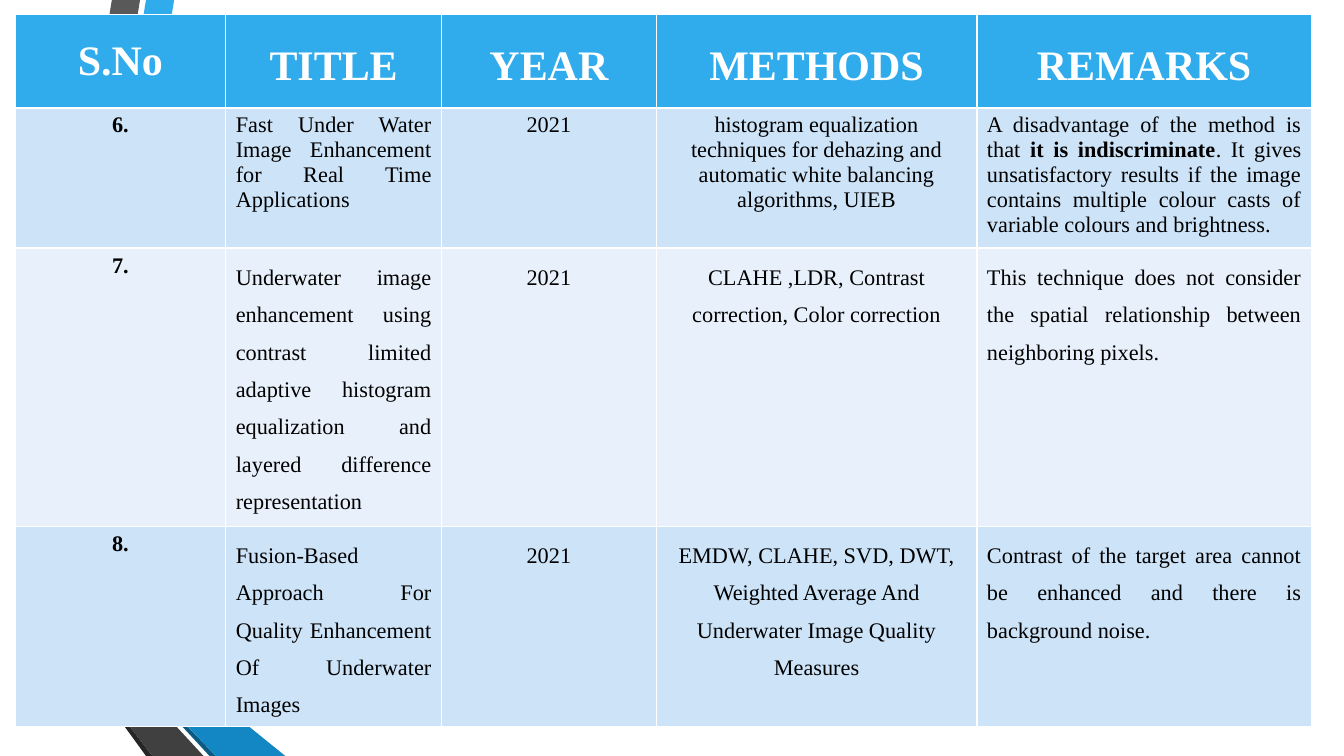
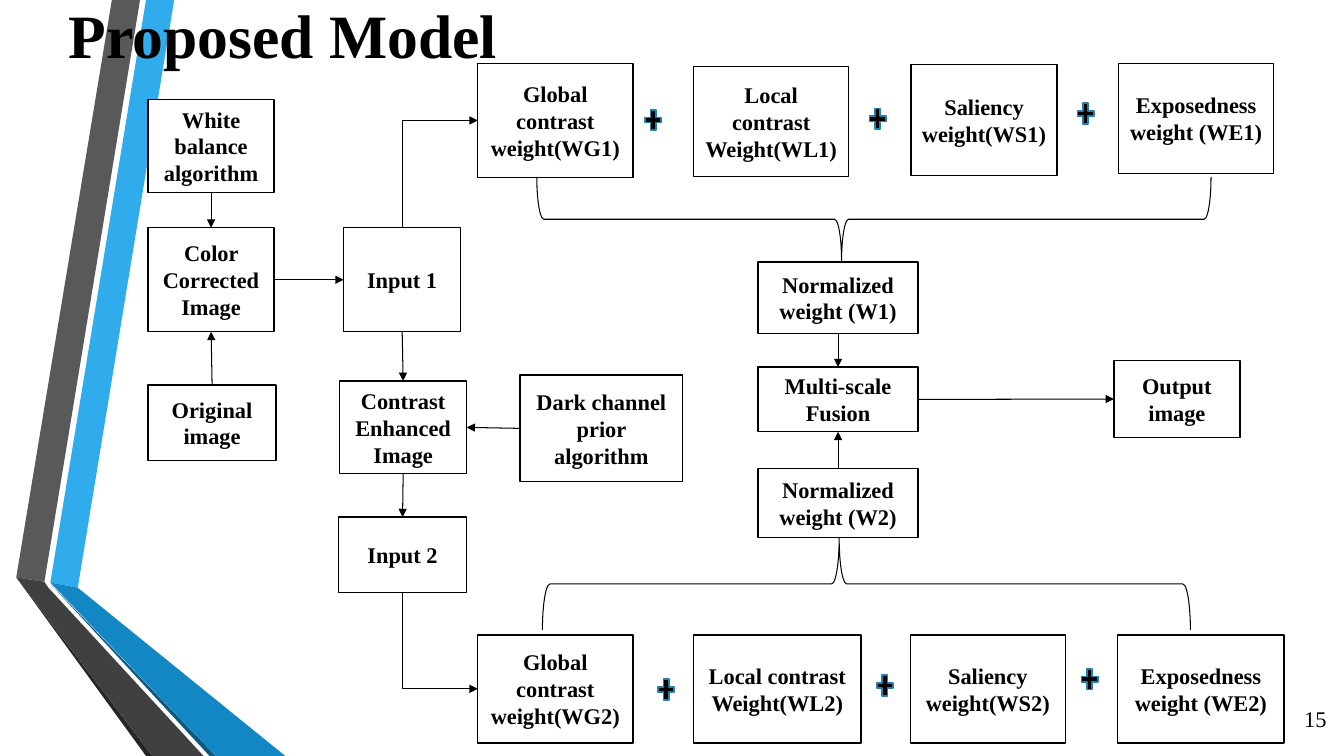
from pptx import Presentation
from pptx import util as u
from pptx.dml.color import RGBColor
from pptx.enum import shapes, text
from pptx.oxml.ns import qn
from lxml import etree

Cm, Pt = u.Cm, u.Pt
KIND, LINK = shapes.MSO_SHAPE, shapes.MSO_CONNECTOR
ALIGN, ANCHOR = text.PP_ALIGN, text.MSO_ANCHOR

FONT = "Times New Roman"
BLACK = RGBColor(0x00, 0x00, 0x00)
WHITE = RGBColor(0xFF, 0xFF, 0xFF)
SKY = RGBColor(0x30, 0xAC, 0xEC)
GREY = RGBColor(0x59, 0x59, 0x59)
COAL = RGBColor(0x26, 0x26, 0x26)
NAVY = RGBColor(0x0C, 0x5A, 0x82)
BLUE = RGBColor(0x12, 0x87, 0xC3)
SLATE = RGBColor(0x40, 0x40, 0x40)
STEEL = RGBColor(0x24, 0x7F, 0xAF)
BAND_DARK = RGBColor(0xCD, 0xE3, 0xF8)
BAND_LIGHT = RGBColor(0xE8, 0xF1, 0xFB)

TITLE_ONLY, BLANK = 5, 6
TOP, LEFT, BOTTOM, RIGHT = range(4)

RIBBON = [
    (SKY, [(1.27, 14.68), (1.96, 14.81), (4.39, 0), (3.68, 0)]),
    (GREY, [(3.53, 0), (2.82, 0), (0.41, 14.55), (1.12, 14.66)]),
    (COAL, [(0.41, 14.55), (3.68, 19.05), (3.84, 19.05)]),
    (NAVY, [(1.27, 14.71), (5.28, 19.05), (5.44, 19.05)]),
    (BLUE, [(1.27, 14.68), (5.44, 19.05), (7.19, 19.05), (1.96, 14.81)]),
    (SLATE, [(5.13, 19.05), (1.22, 14.81), (1.12, 14.66), (0.41, 14.55), (3.84, 19.05)]),
]

COLUMNS = [5.31, 5.44, 5.41, 8.08, 8.43]
ROWS = [2.36, 3.53, 7.01, 5.05]
HEADINGS = ["S.No", "TITLE", "YEAR", "METHODS", "REMARKS"]
PAPERS = [
    ["6.", "Fast Under Water Image Enhancement for Real Time Applications", "2021",
     "histogram equalization techniques for dehazing and automatic white balancing "
     "algorithms, UIEB",
     "A disadvantage of the method is that **it is indiscriminate**. It gives unsatisfactory "
     "results if the image contains multiple colour casts of variable colours and brightness."],
    ["7.", "Underwater image enhancement using contrast limited adaptive histogram "
     "equalization and layered difference representation", "2021",
     "CLAHE ,LDR, Contrast correction, Color correction",
     "This technique does not consider the spatial relationship between neighboring pixels."],
    ["8.", "Fusion-Based Approach For Quality Enhancement Of Underwater Images", "2021",
     "EMDW, CLAHE, SVD, DWT, Weighted Average And Underwater Image Quality Measures",
     "Contrast of the target area cannot be enhanced and there is background noise."],
]

BOXES = {
    "white": ("White balance\nalgorithm", 3.73, 2.51, 3.18, 2.34),
    "color": ("Color Corrected\nImage", 3.73, 5.74, 3.18, 2.62),
    "source": ("Original image", 3.73, 9.7, 3.23, 1.9),
    "input1": ("Input 1", 8.66, 5.74, 2.95, 2.62),
    "contrast": ("Contrast Enhanced Image", 8.56, 9.6, 3.2, 2.34),
    "dark": ("Dark channel\nprior algorithm", 13.11, 9.45, 4.09, 2.69),
    "input2": ("Input 2", 8.53, 13.03, 3.23, 1.9),
    "global1": ("Global contrast weight(WG1)", 12.04, 1.6, 3.91, 2.87),
    "local1": ("Local contrast\nWeight(WL1)", 17.48, 1.68, 3.91, 2.77),
    "saliency1": ("Saliency weight(WS1)", 22.96, 1.63, 3.68, 2.79),
    "exposed1": ("Exposedness\nweight (WE1)", 28.19, 1.6, 3.91, 2.77),
    "norm1": ("Normalized weight (W1)", 19.1, 6.6, 4.04, 1.8),
    "fusion": ("Multi-scale Fusion", 19.1, 9.25, 4.04, 1.63),
    "norm2": ("Normalized weight (W2)", 19.1, 11.81, 4.04, 1.73),
    "output": ("Output image", 28.07, 9.09, 3.18, 1.93),
    "global2": ("Global contrast weight(WG2)", 12.04, 16, 3.91, 2.72),
    "local2": ("Local contrast\nWeight(WL2)", 17.48, 16, 4.22, 2.72),
    "saliency2": ("Saliency weight(WS2)", 22.94, 16, 3.91, 2.72),
    "exposed2": ("Exposedness\nweight (WE2)", 28.17, 16, 4.19, 2.72),
}
ARROWS = [
    ("white", BOTTOM, "color", TOP),
    ("source", TOP, "color", BOTTOM),
    ("color", RIGHT, "input1", LEFT),
    ("input1", BOTTOM, "contrast", TOP),
    ("dark", LEFT, "contrast", RIGHT),
    ("contrast", BOTTOM, "input2", TOP),
    ("norm1", BOTTOM, "fusion", TOP),
    ("norm2", TOP, "fusion", BOTTOM),
    ("fusion", RIGHT, "output", LEFT),
    ("input2", BOTTOM, "global2", LEFT),
    ("input1", TOP, "global1", LEFT),
]
PLUSES = [(16.18, 2.67), (21.84, 2.64), (27.08, 2.51),
          (16.51, 17.02), (22.02, 16.92), (27.18, 16.76)]


def write(tf, content, size=16, bold=False, color=BLACK, align=ALIGN.CENTER,
          spacing=None, before=None):
    """Fill a text frame; newlines split paragraphs and ** toggles bold."""
    for i, line in enumerate(content.split("\n")):
        p = tf.add_paragraph() if i else tf.paragraphs[0]
        p.alignment = align
        if spacing:
            p.line_spacing = spacing
        if before:
            p.space_before = Pt(before)
        for j, part in enumerate(line.split("**")):
            r = p.add_run()
            r.text = part
            r.font.name = FONT
            r.font.size = Pt(size)
            r.font.bold = bold != bool(j % 2)
            r.font.color.rgb = color


class Deck:
    """Hold the presentation, its style and the current slide."""

    def __init__(self):
        """Set up an empty widescreen presentation."""
        self.prs = Presentation()
        self.prs.slide_width, self.prs.slide_height = Cm(33.87), Cm(19.05)
        self.slide = None

    def add_slide(self, layout):
        """Start a new slide."""
        self.slide = self.prs.slides.add_slide(self.prs.slide_layouts[layout])

    def style(self, sp, fill=None, line=None, width=1):
        """Give a shape a flat fill and outline."""
        sp.shadow.inherit = False
        if fill is None:
            sp.fill.background()
        else:
            sp.fill.solid()
            sp.fill.fore_color.rgb = fill
        if line is None:
            sp.line.fill.background()
        else:
            sp.line.color.rgb = line
            sp.line.width = Pt(width)
        return sp

    def ribbon(self):
        """Draw the folded ribbon and place it on the slide master."""
        for color, points in RIBBON:
            start, *rest = [(Cm(x), Cm(y)) for x, y in points]
            outline = self.slide.shapes.build_freeform(*start)
            outline.add_line_segments(rest)
            sp = self.style(outline.convert_to_shape(), color)
            self.prs.slide_master.shapes.element.append(sp.element)

    def title(self, content, x, y, w, h):
        """Place and format the title placeholder."""
        sp = self.slide.shapes.title
        sp.left, sp.top, sp.width, sp.height = Cm(x), Cm(y), Cm(w), Cm(h)
        tf = sp.text_frame
        tf.auto_size = text.MSO_AUTO_SIZE.NONE
        tf.vertical_anchor = ANCHOR.MIDDLE
        write(tf, content, size=44, bold=True)

    def number(self, content):
        """Write the page number in the lower right corner."""
        sp = self.slide.shapes.add_textbox(Cm(32.16), Cm(17.6), Cm(1.52), Cm(1.02))
        tf = sp.text_frame
        tf.word_wrap = True
        tf.vertical_anchor = ANCHOR.MIDDLE
        write(tf, content, align=ALIGN.RIGHT)

    def shape(self, kind, x, y, w, h, **style):
        """Add a styled preset shape."""
        sp = self.slide.shapes.add_shape(kind, Cm(x), Cm(y), Cm(w), Cm(h))
        return self.style(sp, **style)

    def box(self, content, x, y, w, h):
        """Add a labelled step of the flow chart."""
        sp = self.shape(KIND.RECTANGLE, x, y, w, h, fill=WHITE, line=BLACK)
        write(sp.text_frame, content, bold=True)
        return sp

    def plus(self, x, y):
        """Add a plus sign."""
        self.shape(KIND.MATH_PLUS, x, y, 0.56, 0.71, fill=BLACK, line=STEEL, width=1.25)

    def brace(self, kind, x, y, w, h, point):
        """Add a brace turned on its side."""
        sp = self.shape(kind, x, y, w, h, line=BLACK, width=0.75)
        sp.rotation = 270
        sp.adjustments[0] = 0.083
        sp.adjustments[1] = point

    def arrow(self, src, src_side, dst, dst_side):
        """Connect two boxes, with a right-angled bend when the sides are not opposite."""
        bend = (src_side - dst_side) % 2 == 1
        ends = [(src, src_side), (dst, dst_side)]
        if bend:
            ends.reverse()
        kind = LINK.ELBOW if bend else LINK.STRAIGHT
        sp = self.slide.shapes.add_connector(kind, 0, 0, 0, 0)
        sp.begin_connect(*ends[0])
        sp.end_connect(*ends[1])
        sp.line.color.rgb = BLACK
        sp.line.width = Pt(0.75)
        props = sp.element.spPr
        if bend:
            props.find(qn("a:prstGeom")).set("prst", "bentConnector2")
        head = "a:headEnd" if bend else "a:tailEnd"
        etree.SubElement(props.find(qn("a:ln")), qn(head), type="triangle")
        etree.SubElement(props, qn("a:effectLst"))

    def table(self, x, y, widths, heights, headings, rows):
        """Add the banded literature table."""
        frame = self.slide.shapes.add_table(len(heights), len(widths), Cm(x), Cm(y),
                                            Cm(sum(widths)), Cm(sum(heights)))
        table = frame.table
        for column, width in zip(table.columns, widths):
            column.width = Cm(width)
        for row, height in zip(table.rows, heights):
            row.height = Cm(height)
        for i, values in enumerate([headings] + rows):
            for j, value in enumerate(values):
                cell = table.cell(i, j)
                cell.fill.solid()
                if i == 0:
                    cell.fill.fore_color.rgb = SKY
                    write(cell.text_frame, value, size=30, bold=True, color=WHITE, spacing=1.5)
                    continue
                cell.fill.fore_color.rgb = BAND_DARK if i % 2 else BAND_LIGHT
                tight = i == 1 or j == 0
                write(cell.text_frame, value, size=15.9, bold=j == 0,
                      align=ALIGN.JUSTIFY if j in (1, 4) else ALIGN.CENTER,
                      spacing=None if tight else 1.5, before=1.2 if tight else None)
        corner = table.cell(0, 0)
        corner.margin_left = corner.margin_right = Cm(0.18)
        corner.margin_top = corner.margin_bottom = 0


def main():
    """Build and save both slides."""
    deck = Deck()
    deck.add_slide(BLANK)
    deck.ribbon()
    deck.table(0.38, 0.36, COLUMNS, ROWS, HEADINGS, PAPERS)

    deck.add_slide(TITLE_ONLY)
    deck.title("Proposed Model", 0.97, -0.53, 12.32, 2.77)
    deck.number("15")
    boxes = {name: deck.box(*spec_) for name, spec_ in BOXES.items()}
    for src, src_side, dst, dst_side in ARROWS:
        deck.arrow(boxes[src], src_side, boxes[dst], dst_side)
    for x, y in PLUSES:
        deck.plus(x, y)
    deck.brace(KIND.LEFT_BRACE, 20.96, -2.97, 2.13, 16.99, 0.452)
    deck.brace(KIND.RIGHT_BRACE, 20.68, 6.55, 2.31, 16.33, 0.458)
    deck.prs.save("out.pptx")


if __name__ == "__main__":
    main()
